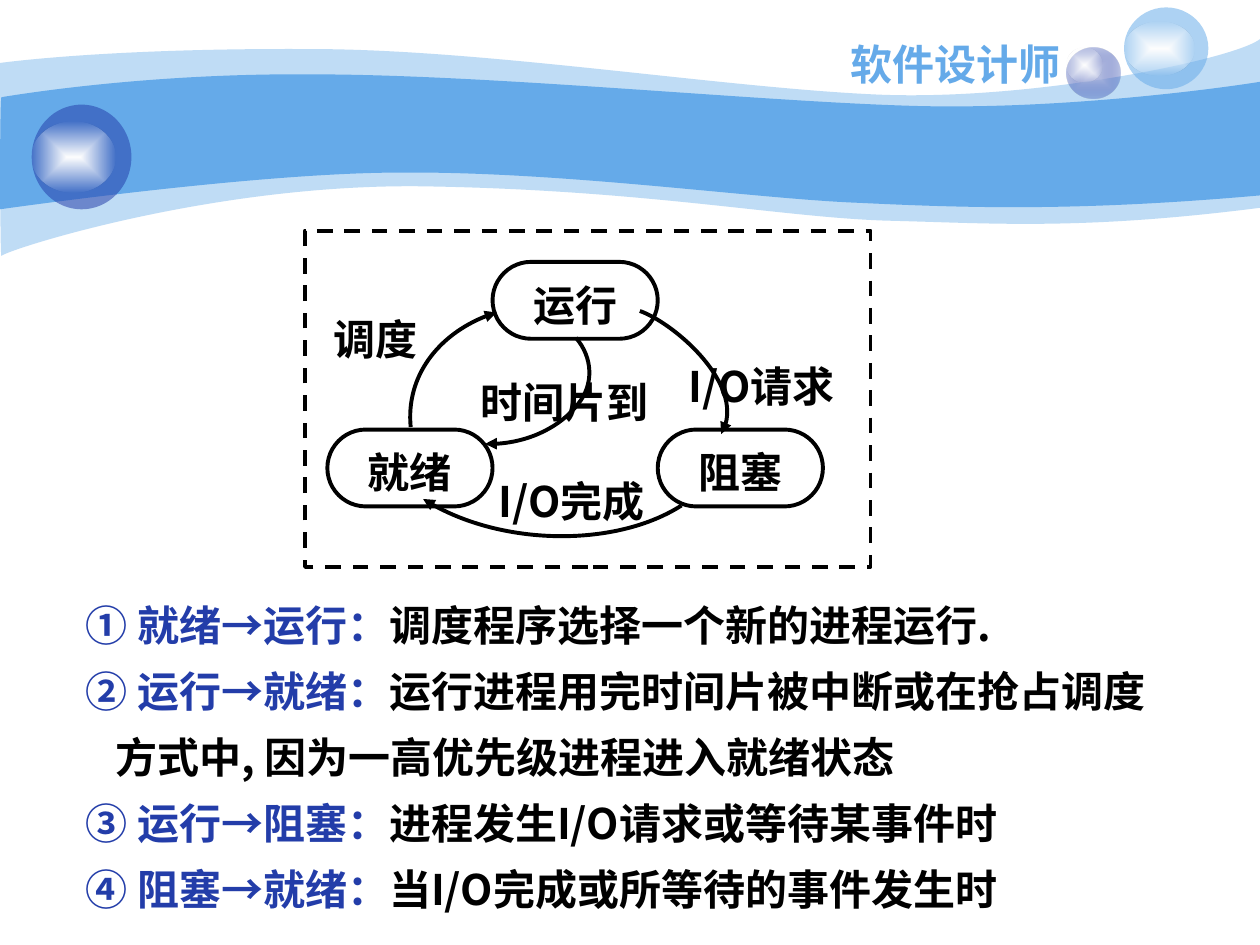
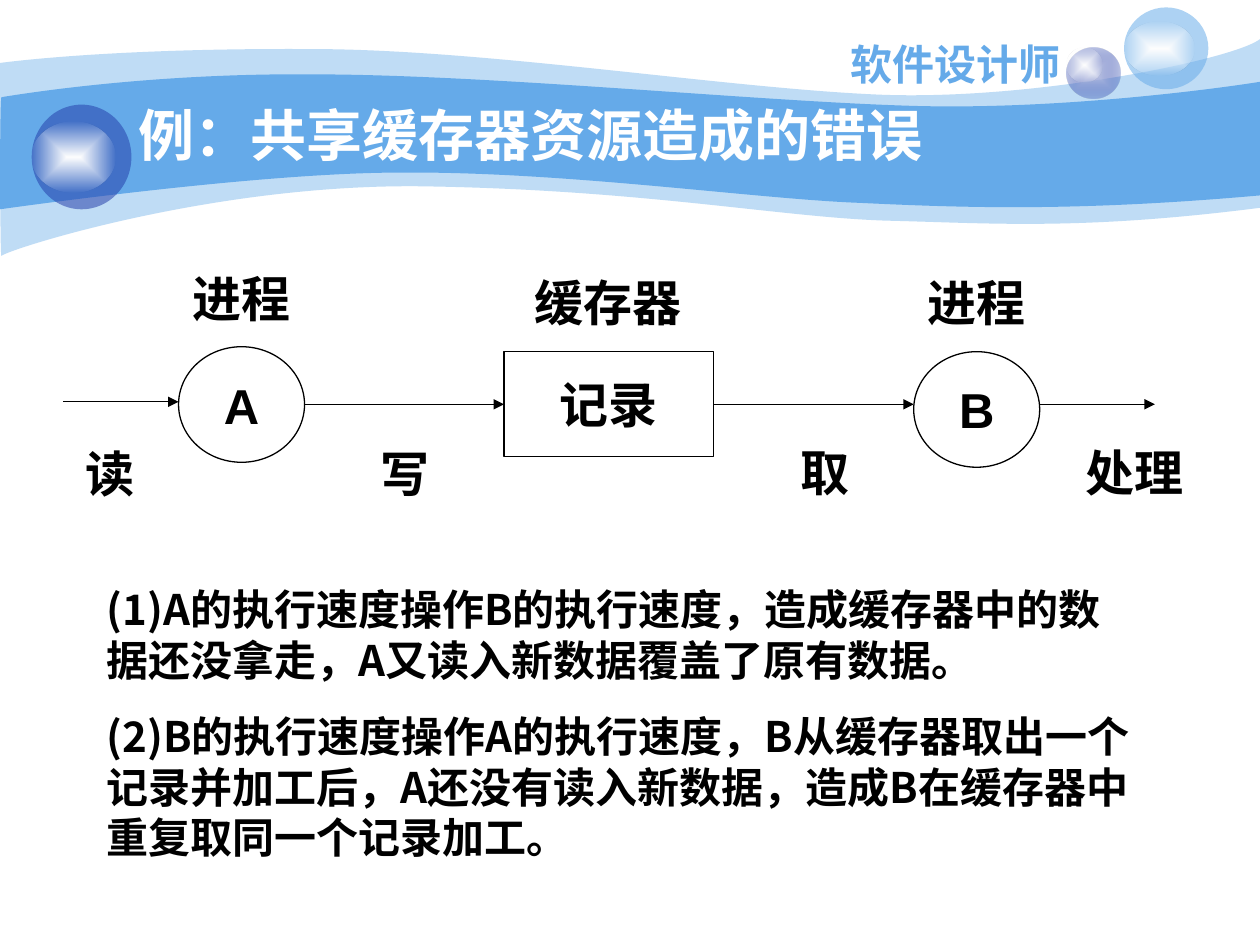
from pptx import Presentation
from pptx.dml.color import RGBColor
from pptx.enum.dml import MSO_LINE
from pptx.enum.shapes import MSO_CONNECTOR, MSO_SHAPE
from pptx.enum.text import MSO_ANCHOR, MSO_AUTO_SIZE, PP_ALIGN
from pptx.oxml import parse_xml
from pptx.oxml.ns import nsdecls, qn
from pptx.util import Cm, Pt

SKY, NAVY, BLACK, WHITE = "65AAE9", "233DA9", "000000", "FFFFFF"
HEI, ARIAL = "Noto Sans CJK SC", "Arial"
LINE_HEIGHT = 1.2


def format_text(box, size, colour=BLACK, font=HEI, align=PP_ALIGN.CENTER,
                anchor=MSO_ANCHOR.TOP, wrap=True, leading=1, gap=0):
    frame = box.text_frame
    frame.auto_size = MSO_AUTO_SIZE.NONE
    frame.word_wrap = wrap
    frame.vertical_anchor = anchor
    for number, para in enumerate(frame.paragraphs):
        para.alignment = align
        para.line_spacing = Pt(round(size * LINE_HEIGHT * leading, 1))
        para.space_before = Pt(gap if number else 0)
        for span in para.runs:
            span.font.size = Pt(size)
            span.font.bold = True
            span.font.color.rgb = RGBColor.from_string(colour)
            span.font.name = font
            span._r.get_or_add_rPr().append(
                parse_xml(f'<a:ea {nsdecls("a")} typeface="{font}"/>'))


def add_curve(page, start, controls, closed=False):
    builder = page.shapes.build_freeform(Cm(start[0]), Cm(start[1]))
    builder.add_line_segments([(Cm(x), Cm(y)) for x, y in controls], close=closed)
    curve = builder.convert_to_shape()
    steps = list(curve.element.iter(qn("a:lnTo")))
    for first in range(0, len(steps), 3):
        bezier = parse_xml(f'<a:cubicBezTo {nsdecls("a")}/>')
        steps[first].addprevious(bezier)
        for step in steps[first:first + 3]:
            bezier.append(step[0])
            step.getparent().remove(step)
    return curve


deck = Presentation()
deck.slide_width, deck.slide_height = Cm(25.4), Cm(19.05)
layout = deck.slide_layouts[1]
for holder in list(layout.placeholders)[2:]:
    holder.element.getparent().remove(holder.element)
states = deck.slides.add_slide(layout)
buffer = deck.slides.add_slide(layout)

bands = [
    (41, (0, 1.27), [
        (0.61, 1.19), (2.72, 0.97), (6.27, 0.99),
        (9.8, 0.99), (14.61, 1.78), (17.75, 1.91),
        (20.88, 2.03), (24.89, 1.19), (25.4, 0.79),
        (25.4, 0.79), (25.4, 4.19), (25.4, 4.19),
        (21.79, 4.65), (19.99, 4.5), (17.91, 4.45),
        (15.8, 4.39), (13.08, 3.84), (8.71, 3.76),
        (4.37, 3.66), (0.1, 5.05), (0.03, 5.16),
        (0, 5.28), (0, 1.9), (0, 1.27)]),
    (100, (0.03, 1.96), [
        (0.05, 1.96), (2.79, 1.47), (6.3, 1.5),
        (9.8, 1.5), (15.11, 2.03), (18.24, 2.13),
        (21.36, 2.24), (24.79, 1.75), (25.4, 1.65),
        (25.4, 1.65), (25.4, 3.94), (25.4, 3.94),
        (21.67, 4.27), (19.43, 4.19), (17.32, 4.09),
        (15.21, 4.01), (11.35, 3.45), (8.05, 3.48),
        (5.16, 3.48), (0, 4.22), (0, 4.22),
        (0, 4.22), (0, 1.96), (0.03, 1.96)]),
]
gloss = [(WHITE, 100), ("FEFEFE", 0)]
orbs = [
    (21.51, 0.97, 1.07, 1.02, [("C6CCE8", 100), (NAVY, 31)]),
    (21.51, 0.97, 0.71, 0.69, gloss),
    (22.66, 0.15, 1.7, 1.65, [(SKY, 53)]),
    (22.66, 0.43, 1.42, 1.09, gloss),
    (0.64, 2.11, 2.01, 2.11, [(NAVY, 53)]),
    (0.64, 2.46, 1.68, 1.42, gloss),
]
decoration = [(add_curve(states, start, controls, True), [(SKY, alpha)])
              for alpha, start, controls in bands]
for left, top, width, height, colours in orbs:
    orb = states.shapes.add_shape(MSO_SHAPE.OVAL, Cm(left), Cm(top), Cm(width), Cm(height))
    decoration.append((orb, colours))
for shape, colours in decoration:
    shape.shadow.inherit = False
    shape.line.fill.background()
    shape.fill.background()
    paints = [f'<a:srgbClr val="{colour}"><a:alpha val="{alpha * 1000}"/></a:srgbClr>'
              for colour, alpha in colours]
    if len(paints) == 1:
        fill = f'<a:solidFill {nsdecls("a")}>{paints[0]}</a:solidFill>'
    else:
        fill = (f'<a:gradFill {nsdecls("a")} rotWithShape="1"><a:gsLst>'
                f'<a:gs pos="0">{paints[0]}</a:gs><a:gs pos="100000">{paints[1]}</a:gs>'
                '</a:gsLst><a:path path="rect"><a:fillToRect l="50000" t="50000" '
                'r="50000" b="50000"/></a:path></a:gradFill>')
    properties = shape.element.spPr
    properties.replace(properties.find(qn("a:noFill")), parse_xml(fill))

course = states.shapes.add_textbox(Cm(15.24), Cm(0.64), Cm(8.05), Cm(1.27))
course.text_frame.text = "软件设计师"
format_text(course, 24, SKY, anchor=MSO_ANCHOR.MIDDLE, wrap=False)
for shape in [shape for shape, colours in decoration] + [course]:
    layout.shapes.element.append(shape.element)

title = states.shapes.title
title.element.getparent().remove(title.element)
for name, left, top in [("运行", 9.93, 5.28), ("就绪", 6.6, 8.66), ("阻塞", 13.26, 8.66)]:
    state = states.shapes.add_shape(
        MSO_SHAPE.ROUNDED_RECTANGLE, Cm(left), Cm(top), Cm(3.33), Cm(1.55))
    state.adjustments[0] = 0.5
    state.shadow.inherit = False
    state.fill.solid()
    state.fill.fore_color.rgb = RGBColor.from_string(WHITE)
    state.line.color.rgb = RGBColor.from_string(BLACK)
    state.line.width = Pt(2.25)
    state.text_frame.text = name
    format_text(state, 24)

border = states.shapes.add_shape(MSO_SHAPE.RECTANGLE, Cm(6.15), Cm(4.65), Cm(11.4), Cm(6.78))
border.shadow.inherit = False
border.fill.background()
border.line.color.rgb = RGBColor.from_string(BLACK)
border.line.width = Pt(2.25)
border.line.dash_style = MSO_LINE.DASH

arrows = []
for start, controls in [
    ((8.28, 8.61), [(8.18, 7.59), (8.92, 6.63), (10.01, 6.3)]),
    ((11.61, 6.81), [(11.95, 7.2), (11.98, 7.75), (11.65, 8.15),
                     (11.3, 8.6), (10.55, 8.98), (9.78, 8.95)]),
    ((13.74, 10.19), [(12.45, 11.02), (10.03, 11.02), (8.53, 10.06)]),
    ((12.9, 6.27), [(13.55, 6.5), (15.1, 7.8), (14.54, 8.75)]),
]:
    transition = add_curve(states, start, controls)
    transition.fill.background()
    arrows.append((transition, 2.25))

for name, left, top, width in [
    ("调度", 6.15, 6.2, 2.84), ("I/O完成", 9.19, 9.47, 4.67),
    ("时间片到", 8.94, 7.47, 4.9), ("I/O请求", 13.16, 7.14, 4.39),
]:
    label = states.shapes.add_textbox(Cm(left), Cm(top), Cm(width), Cm(1.55))
    label.text_frame.text = name
    format_text(label, 24)

rules = [
    ("① 就绪→运行：", "调度程序选择一个新的进程运行."),
    ("② 运行→就绪：", "运行进程用完时间片被中断或在抢占调度"),
    ("", "方式中, 因为一高优先级进程进入就绪状态"),
    ("③ 运行→阻塞：", "进程发生I/O请求或等待某事件时"),
    ("④ 阻塞→就绪：", "当I/O完成或所等待的事件发生时"),
]
listing = states.placeholders[1]
listing.left, listing.top, listing.width, listing.height = Cm(1.47), Cm(11.86), Cm(22.96), Cm(6.71)
listing.text_frame.text = "\n".join(label for label, detail in rules)
for para, (label, detail) in zip(listing.text_frame.paragraphs, rules):
    span = para.add_run()
    span.text = detail
format_text(listing, 24, align=PP_ALIGN.LEFT, leading=1.1, gap=6)
for para, (label, detail) in zip(listing.text_frame.paragraphs, rules):
    if label:
        para.runs[0].font.color.rgb = RGBColor.from_string(NAVY)

title = buffer.shapes.title
title.left, title.top, title.width, title.height = Cm(2.54), Cm(1.91), Cm(20.52), Cm(1.57)
title.text_frame.text = "例：共享缓存器资源造成的错误"
format_text(title, 32, WHITE, align=PP_ALIGN.LEFT, anchor=MSO_ANCHOR.MIDDLE)

for name, kind, left, top, width, height in [
    ("A", MSO_SHAPE.OVAL, 3.6, 6.99, 2.54, 2.33),
    ("B", MSO_SHAPE.OVAL, 18.42, 7.09, 2.54, 2.33),
    ("记录", MSO_SHAPE.RECTANGLE, 10.16, 7.09, 4.23, 2.12),
]:
    node = buffer.shapes.add_shape(kind, Cm(left), Cm(top), Cm(width), Cm(height))
    node.shadow.inherit = False
    node.fill.background()
    node.line.color.rgb = RGBColor.from_string(BLACK)
    node.line.width = Pt(0.75)
    node.text_frame.text = name
    format_text(node, 28, font=ARIAL, anchor=MSO_ANCHOR.MIDDLE, wrap=False)

for name, left, top, width in [
    ("进程", 3.6, 5.28, 2.54), ("缓存器", 10.24, 5.38, 4.02), ("进程", 18.42, 5.38, 2.54),
    ("读", 1.47, 8.81, 1.27), ("写", 7.42, 8.81, 1.27),
    ("取", 15.88, 8.79, 1.48), ("处理", 21.39, 8.79, 2.96),
]:
    label = buffer.shapes.add_textbox(Cm(left), Cm(top), Cm(width), Cm(1.45))
    label.text_frame.text = name
    format_text(label, 28, font=ARIAL)

for begin, end, level in [
    (1.27, 3.6, 8.1), (6.14, 10.16, 8.15), (14.39, 18.42, 8.15), (20.96, 23.28, 8.15),
]:
    flow = buffer.shapes.add_connector(
        MSO_CONNECTOR.STRAIGHT, Cm(begin), Cm(level), Cm(end), Cm(level))
    arrows.append((flow, 0.75))

for arrow, width in arrows:
    arrow.line.color.rgb = RGBColor.from_string(BLACK)
    arrow.line.width = Pt(width)
    properties = arrow.element.spPr
    properties.find(qn("a:ln")).append(parse_xml(f'<a:tailEnd {nsdecls("a")} type="triangle"/>'))
    properties.append(parse_xml(f'<a:effectLst {nsdecls("a")}/>'))

errors = buffer.placeholders[1]
errors.left, errors.top, errors.width, errors.height = Cm(1.9), Cm(11.64), Cm(21.2), Cm(5.87)
errors.text_frame.text = (
    "(1)A的执行速度操作B的执行速度，造成缓存器中的数据还没拿走，A又读入新数据覆盖了原有数据。\n"
    "(2)B的执行速度操作A的执行速度，B从缓存器取出一个记录并加工后，"
    "A还没有读入新数据，造成B在缓存器中重复取同一个记录加工。")
format_text(errors, 24, align=PP_ALIGN.LEFT, gap=15)

for body in (listing, errors):
    for para in body.text_frame.paragraphs:
        indent = Cm(0.6) if para.text.startswith("方式中") else 0
        settings = para._p.get_or_add_pPr()
        settings.set("marL", str(int(indent)))
        settings.set("indent", "0")
        settings.append(parse_xml(f'<a:buNone {nsdecls("a")}/>'))

deck.save("out.pptx")
